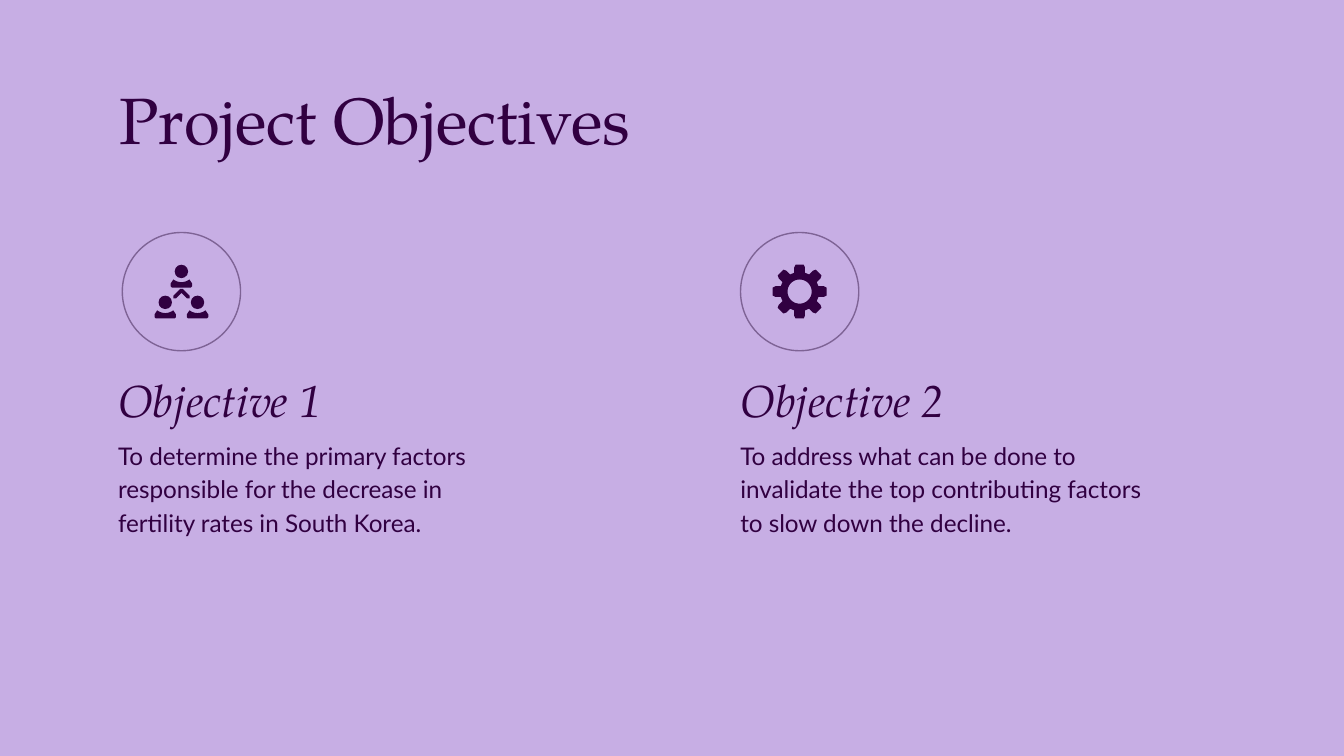
import math

from pptx import Presentation
from pptx.dml.color import RGBColor
from pptx.enum import shapes, text
from pptx.util import Inches, Pt

COLORS = {"background": "C7AEE4", "ink": "310041", "ring": "7E6395"}
SERIF = "TeX Gyre Pagella"
SANS = "Lato"


def rgb(name):
    return RGBColor.from_string(COLORS[name])


def add_text(s, words, box, size, font, italic=None, spacing=None,
             anchor=text.MSO_ANCHOR.TOP):
    tf = s.shapes.add_textbox(*map(Inches, box)).text_frame
    tf.word_wrap = True
    tf.vertical_anchor = anchor
    tf.margin_left = tf.margin_right = Inches(0.1)
    tf.margin_top = tf.margin_bottom = Inches(0.1)
    p = tf.paragraphs[0]
    if spacing:
        p.line_spacing = spacing
    r = p.add_run()
    r.text = words
    r.font.size = Pt(size)
    r.font.name = font
    r.font.italic = italic
    r.font.color.rgb = rgb("ink")


def paint(sp):
    sp.shadow.inherit = False
    sp.fill.solid()
    sp.fill.fore_color.rgb = rgb("ink")
    sp.line.fill.background()


def add_circle(s, cx, cy, radius):
    return s.shapes.add_shape(
        shapes.MSO_SHAPE.OVAL, Inches(cx - radius), Inches(cy - radius),
        Inches(2 * radius), Inches(2 * radius))


def add_ring(s, cx, cy):
    sp = add_circle(s, cx, cy, 0.44)
    sp.shadow.inherit = False
    sp.fill.background()
    sp.line.color.rgb = rgb("ring")
    sp.line.width = Pt(0.75)


def add_outline(s, *contours):
    pts = [[(Inches(x), Inches(y)) for x, y in c] for c in contours]
    fb = s.shapes.build_freeform(*pts[0][0])
    fb.add_line_segments(pts[0][1:], close=True)
    for c in pts[1:]:
        fb.move_to(*c[0])
        fb.add_line_segments(c[1:], close=True)
    paint(fb.convert_to_shape())


def add_gear(s, cx, cy):
    tooth = [(0.14, -0.04), (0.18, -0.04), (0.2, -0.03),
             (0.2, 0.03), (0.18, 0.04), (0.14, 0.04)]
    rim = []
    for i in range(8):
        c, n = math.cos(i * math.pi / 4), math.sin(i * math.pi / 4)
        rim += [(cx + a * c - b * n, cy + a * n + b * c) for a, b in tooth]
    angles = [-i * math.pi / 24 for i in range(48)]
    hole = [(cx + 0.09 * math.cos(a), cy + 0.09 * math.sin(a)) for a in angles]
    add_outline(s, rim, hole)


def add_person(s, cx, cy):
    paint(add_circle(s, cx, cy, 0.05))
    collar = [(0.06 - 0.01 * i, 0.08 - 0.02 * ((i - 6) / 6) ** 2)
              for i in range(13)]
    body = [(-0.08, 0.11), (-0.07, 0.12), (0.07, 0.12), (0.08, 0.11),
            (0.08, 0.09)] + collar + [(-0.08, 0.09)]
    add_outline(s, [(cx + x, cy + y) for x, y in body])


def add_team(s, cx, cy):
    for dx, dy in [(0, -0.15), (-0.12, 0.08), (0.12, 0.08)]:
        add_person(s, cx + dx, cy + dy)
    right = [(0.01, -0.02), (0.06, 0.03), (0.06, 0.05), (0.04, 0.05), (0, 0.01)]
    left = [(-x, y) for x, y in right[-2::-1]]
    add_outline(s, [(cx + x, cy + y) for x, y in right + left])


def add_objective(s, x, title, body, body_width, add_icon, icon_x):
    add_text(s, body, (x, 3.15, body_width, 1.75), 13, SANS, spacing=1.15)
    add_text(s, title, (x, 2.69, 3.49, 0.58), 24, SERIF, italic=True,
             anchor=text.MSO_ANCHOR.BOTTOM)
    add_ring(s, icon_x, 2.17)
    add_icon(s, icon_x, 2.17)


def main():
    prs = Presentation()
    prs.slide_width = Inches(10)
    prs.slide_height = prs.slide_width * 9 // 16
    s = prs.slides.add_slide(prs.slide_layouts[6])
    s.background.fill.solid()
    s.background.fill.fore_color.rgb = rgb("background")
    add_text(s, "Project Objectives", (0.79, 0.49, 8.43, 1.15), 35, SERIF)
    add_objective(
        s, 0.78, "Objective 1",
        "To determine the primary factors responsible for the decrease in "
        "fertility rates in South Korea.", 3.08, add_team, 1.35)
    add_objective(
        s, 5.41, "Objective 2",
        "To address what can be done to invalidate the top contributing "
        "factors to slow down the decline.", 3.36, add_gear, 5.95)
    prs.save("out.pptx")


if __name__ == "__main__":
    main()
